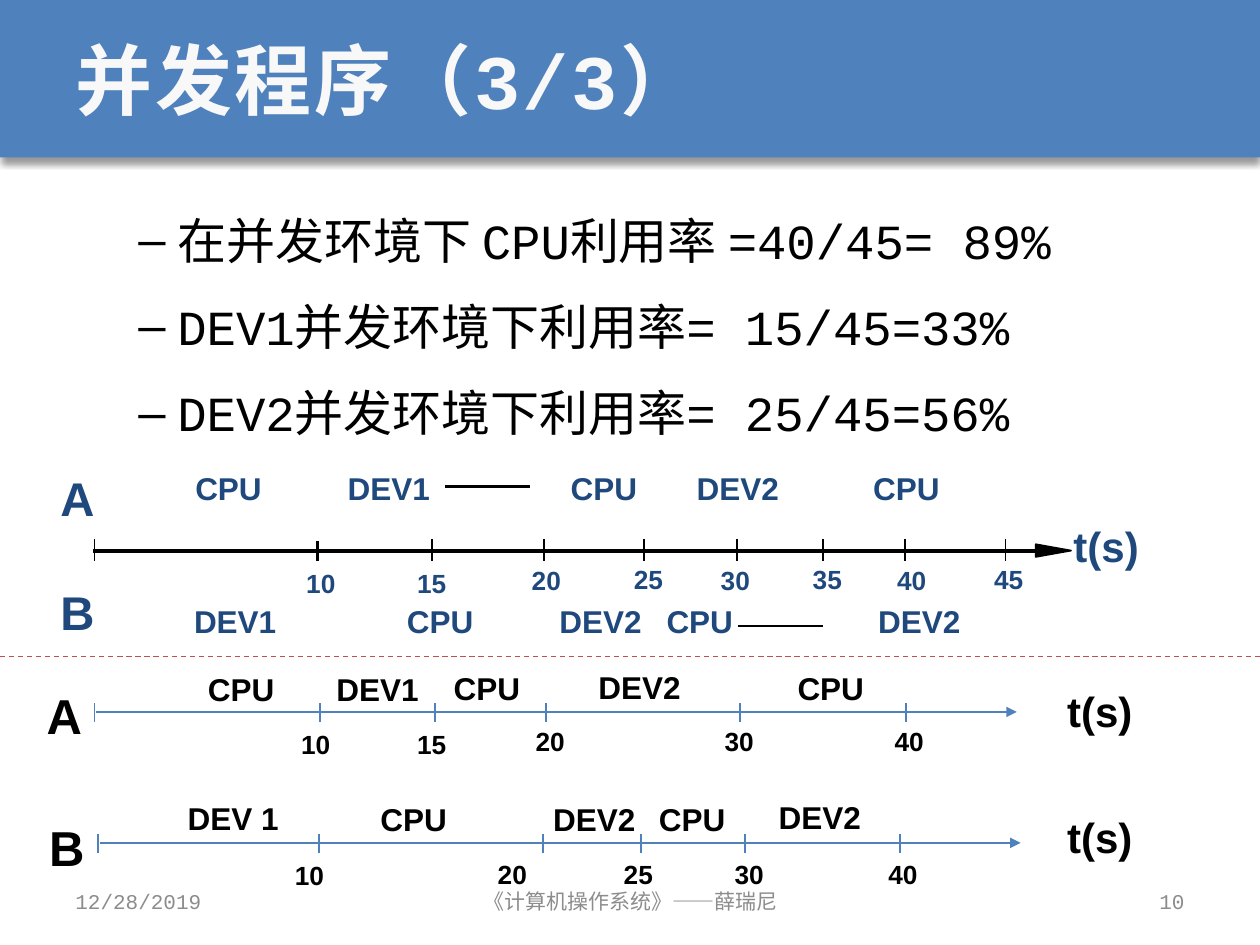
from lxml import etree
from pptx import Presentation
from pptx import util as u
from pptx.dml.color import RGBColor
from pptx.enum import dml, shapes, text
from pptx.oxml import ns

COLORS = {
    "blue": "4F81BD", "navy": "1F497D", "black": "000000",
    "red": "C0504D", "gray": "8C8C8C", "title": "F8F8F8",
}
TITLE = "并发程序（3/3）"
BULLETS = [
    "在并发环境下 CPU利用率 =40/45= 89%",
    "DEV1并发环境下利用率= 15/45=33%",
    "DEV2并发环境下利用率= 25/45=56%",
]
FOOTERS = [
    ("12/28/2019", 0.5, 2.33, text.PP_ALIGN.LEFT),
    ("《计算机操作系统》——薛瑞尼", 3.42, 3.17, text.PP_ALIGN.CENTER),
    ("10", 7.17, 2.33, text.PP_ALIGN.RIGHT),
]
LABEL_WIDTHS = {"CPU": 0.54, "DEV1": 0.67, "DEV2": 0.67, "DEV 1": 0.74,
                "t(s)": 0.54, "A": 0.28, "B": 0.28}
NUMBER_WIDTH = 0.25

SHARED_TIMELINE = {
    "color": "navy", "line": "black", "weight": 1, "axis_weight": 2.25,
    "axis": (0.74, 8.22, 4.37), "arrow": False, "tick_top": 4.28, "tick_height": 0.17,
    "ticks": [0.75, 3.43, 4.32, 5.11, 5.85, 6.53, 7.18, 7.98],
    "labels": [
        (27, [("A", 0.48, 3.72), ("B", 0.48, 4.63)]),
        (24, [("t(s)", 8.52, 4.13)]),
        (18, [("CPU", 1.55, 3.72), ("DEV1", 2.76, 3.72), ("CPU", 4.53, 3.72),
              ("DEV2", 5.53, 3.72), ("CPU", 6.93, 3.72),
              ("DEV1", 1.54, 4.78), ("CPU", 3.23, 4.78), ("DEV2", 4.44, 4.78),
              ("CPU", 5.29, 4.78), ("DEV2", 6.97, 4.78)]),
        (15, [("10", 2.43, 4.5), ("15", 3.31, 4.5), ("20", 4.22, 4.48),
              ("25", 5.03, 4.47), ("30", 5.72, 4.48), ("35", 6.45, 4.47),
              ("40", 7.12, 4.48), ("45", 7.89, 4.47)]),
    ],
}
TIMELINE_A = {
    "color": "black", "line": "blue", "weight": 1.13, "axis_weight": 1.13,
    "axis": (0.76, 8.07, 5.65), "arrow": True, "tick_top": 5.58, "tick_height": 0.15,
    "ticks": [0.75, 2.54, 3.45, 4.33, 5.87, 7.19],
    "labels": [
        (28, [("A", 0.37, 5.44)]),
        (24, [("t(s)", 8.47, 5.44)]),
        (18, [("CPU", 1.65, 5.32), ("DEV1", 2.67, 5.32), ("CPU", 3.6, 5.31),
              ("DEV2", 4.75, 5.3), ("CPU", 6.33, 5.31)]),
        (15, [("10", 2.39, 5.78), ("15", 3.31, 5.78), ("20", 4.25, 5.76),
              ("30", 5.75, 5.76), ("40", 7.1, 5.76)]),
    ],
}
TIMELINE_B = {
    "color": "black", "line": "blue", "weight": 1.13, "axis_weight": 1.13,
    "axis": (0.79, 8.1, 6.69), "arrow": True, "tick_top": 6.62, "tick_height": 0.15,
    "ticks": [0.78, 2.53, 4.31, 5.09, 5.91, 7.14],
    "labels": [
        (28, [("B", 0.39, 6.49)]),
        (24, [("t(s)", 8.47, 6.44)]),
        (18, [("DEV 1", 1.49, 6.34), ("CPU", 3.02, 6.35), ("DEV2", 4.39, 6.35),
              ("CPU", 5.23, 6.35), ("DEV2", 6.18, 6.33)]),
        (15, [("10", 2.34, 6.82), ("20", 3.95, 6.81), ("25", 4.95, 6.81),
              ("30", 5.83, 6.81), ("40", 7.05, 6.81)]),
    ],
}
WAITING_LINES = [(3.53, 4.21, 3.86), (5.86, 6.53, 4.97)]
ARROWHEAD = [(8.22, 4.32), (8.5, 4.37), (8.22, 4.42)]


def rgb(name):
    return RGBColor.from_string(COLORS[name])


def add_run(paragraph, content, size, font_name, color, bold=False):
    run = paragraph.add_run()
    run.text = content
    run.font.size = u.Pt(size)
    run.font.name = font_name
    run.font.color.rgb = rgb(color)
    run.font.bold = bold
    return run


def add_text_box(container, left, top, width, height):
    box = container.add_textbox(*map(u.Inches, (left, top, width, height)))
    box.text_frame.word_wrap = True
    return box.text_frame


def add_line(container, start, end, color, weight, arrow=False):
    connector = container.add_connector(
        shapes.MSO_CONNECTOR.STRAIGHT, *map(u.Inches, (*start, *end)))
    connector.line.color.rgb = rgb(color)
    connector.line.width = u.Pt(weight)
    properties = connector._element.spPr
    if arrow:
        etree.SubElement(properties.find(ns.qn("a:ln")), ns.qn("a:tailEnd"), type="triangle")
    etree.SubElement(properties, ns.qn("a:effectLst"))
    return connector


def add_label(container, content, left, top, size, color):
    width = LABEL_WIDTHS.get(content, NUMBER_WIDTH)
    frame = add_text_box(container, left, top, width, size * 1.2 / 72)
    frame.margin_left = frame.margin_right = frame.margin_top = frame.margin_bottom = 0
    frame.word_wrap = False
    frame.auto_size = text.MSO_AUTO_SIZE.SHAPE_TO_FIT_TEXT
    add_run(frame.paragraphs[0], content, size, "Arial", color, True)


def add_timeline(container, timeline):
    left, right, y = timeline["axis"]
    add_line(container, (left, y), (right, y), timeline["line"],
             timeline["axis_weight"], timeline["arrow"])
    top = timeline["tick_top"]
    for x in timeline["ticks"]:
        add_line(container, (x, top), (x, top + timeline["tick_height"]),
                 timeline["line"], timeline["weight"])
    for size, labels in timeline["labels"]:
        for content, x, label_top in labels:
            add_label(container, content, x, label_top, size, timeline["color"])


def add_banner(slide):
    banner = slide.shapes.add_shape(
        shapes.MSO_SHAPE.RECTANGLE, 0, 0, u.Inches(10), u.Inches(1.25))
    banner.fill.solid()
    banner.fill.fore_color.rgb = rgb("blue")
    banner.line.fill.background()
    banner.shadow.inherit = False
    effects = banner._element.spPr.find(ns.qn("a:effectLst"))
    shadow = etree.SubElement(effects, ns.qn("a:outerShdw"), blurRad=str(u.Pt(4)),
                              dist=str(u.Pt(3)), dir="5400000", rotWithShape="0")
    color = etree.SubElement(shadow, ns.qn("a:srgbClr"), val=COLORS["black"])
    etree.SubElement(color, ns.qn("a:alpha"), val="40000")
    slide.shapes._spTree.insert(2, banner._element)


def add_title(slide):
    title = slide.shapes.title
    title.left, title.top, title.width, title.height = map(u.Inches, (0.5, 0, 9, 1.25))
    title.text_frame.vertical_anchor = text.MSO_ANCHOR.MIDDLE
    paragraph = title.text_frame.paragraphs[0]
    paragraph.alignment = text.PP_ALIGN.LEFT
    run = add_run(paragraph, TITLE, 44, "Courier New", "title", True)
    run.font._element.set("spc", "150")


def add_bullets(slide):
    frame = add_text_box(slide.shapes, 0.5, 1.48, 9, 5.33)
    for index, content in enumerate(BULLETS):
        paragraph = frame.add_paragraph() if index else frame.paragraphs[0]
        paragraph.line_spacing = 1.3
        if index:
            paragraph.space_before = u.Pt(5.6)
        properties = paragraph._p.get_or_add_pPr()
        properties.set("marL", str(u.Inches(0.81)))
        properties.set("indent", str(u.Inches(-0.31)))
        etree.SubElement(properties, ns.qn("a:buFont"), typeface="Arial")
        etree.SubElement(properties, ns.qn("a:buChar"), char="–")
        add_run(paragraph, content, 28, "Courier New", "black")


def add_footers(slide):
    for content, left, width, alignment in FOOTERS:
        frame = add_text_box(slide.shapes, left, 6.95, width, 0.4)
        frame.vertical_anchor = text.MSO_ANCHOR.MIDDLE
        frame.paragraphs[0].alignment = alignment
        add_run(frame.paragraphs[0], content, 12, "Courier New", "gray")


def add_shared_timeline(slide):
    group = slide.shapes.add_group_shape().shapes
    add_timeline(group, SHARED_TIMELINE)
    add_line(group, (2.52, 4.29), (2.52, 4.45), "black", 2.25)
    for left, right, y in WAITING_LINES:
        add_line(group, (left, y), (right, y), "black", 1.5)
    points = [(u.Inches(x), u.Inches(y)) for x, y in ARROWHEAD]
    builder = group.build_freeform(*points[0])
    builder.add_line_segments(points[1:], close=True)
    arrowhead = builder.convert_to_shape()
    arrowhead.shadow.inherit = False
    arrowhead.fill.solid()
    arrowhead.fill.fore_color.rgb = rgb("black")
    arrowhead.line.color.rgb = rgb("black")
    arrowhead.line.width = u.Pt(1)


def main():
    presentation = Presentation()
    presentation.slide_width = u.Inches(10)
    presentation.slide_height = u.Inches(7.5)
    slide = presentation.slides.add_slide(presentation.slide_layouts[5])
    add_banner(slide)
    add_title(slide)
    add_bullets(slide)
    add_shared_timeline(slide)
    add_footers(slide)
    group = slide.shapes.add_group_shape().shapes
    for timeline in (TIMELINE_A, TIMELINE_B):
        add_timeline(group, timeline)
    divider = add_line(slide.shapes, (0, 5.21), (10, 5.21), "red", 0.75)
    divider.line.dash_style = dml.MSO_LINE.DASH
    presentation.save("out.pptx")


if __name__ == "__main__":
    main()
